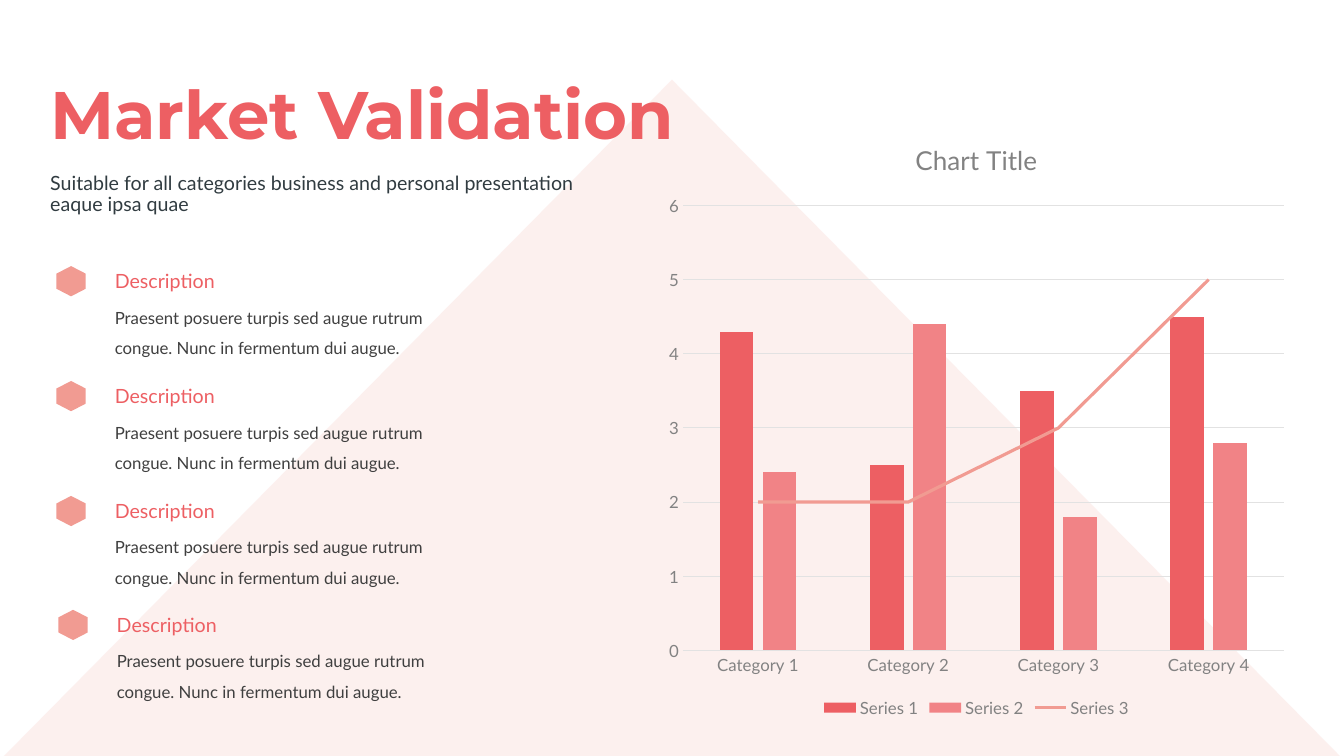
from lxml import etree
from pptx import Presentation
from pptx.chart.data import CategoryChartData
from pptx.dml.color import RGBColor
from pptx.enum.chart import XL_CHART_TYPE, XL_LEGEND_POSITION, XL_MARKER_STYLE, XL_TICK_MARK
from pptx.enum.shapes import MSO_SHAPE
from pptx.enum.text import MSO_ANCHOR
from pptx.oxml import parse_xml
from pptx.oxml.ns import nsdecls, qn
from pptx.util import Inches, Pt

COLORS = {
    "coral": "ED5F63",
    "rose": "F18386",
    "salmon": "F19B92",
    "slate": "313C41",
    "charcoal": "3F3F3F",
    "gray": "828282",
    "grid": "E2E2E2",
}
DESCRIPTION = "Praesent posuere turpis sed augue rutrum congue. Nunc in fermentum dui augue."


def color(name):
    return RGBColor.from_string(COLORS[name])


def format_font(font, size, color_name, name="Lato", bold=False):
    font.size = Pt(size)
    font.name = name
    font.bold = bold
    font.color.rgb = color(color_name)


def write_text(text_frame, text, line_spacing=1.0, anchor=MSO_ANCHOR.TOP, **font_format):
    text_frame.word_wrap = True
    text_frame.vertical_anchor = anchor
    paragraph = text_frame.paragraphs[0]
    paragraph.line_spacing = line_spacing
    run = paragraph.add_run()
    run.text = text
    format_font(run.font, **font_format)


class SlideBuilder:
    def __init__(self, slide):
        self.slide = slide

    def fill(self, shape, color_name, opacity=None):
        shape.shadow.inherit = False
        shape.fill.solid()
        shape.fill.fore_color.rgb = color(color_name)
        shape.line.fill.background()
        if opacity is not None:
            tint = shape._element.spPr.find(qn("a:solidFill")).find(qn("a:srgbClr"))
            etree.SubElement(tint, qn("a:alpha"), val=str(opacity * 1000))

    def triangle(self, left, top, width, height, color_name, opacity):
        shape = self.slide.shapes.add_shape(
            MSO_SHAPE.ISOSCELES_TRIANGLE,
            Inches(left), Inches(top), Inches(width), Inches(height))
        self.fill(shape, color_name, opacity)

    def hexagon(self, left, top, width, height, color_name):
        corners = [(1, 0.75), (0.5, 1), (0, 0.75), (0, 0.25), (0.5, 0), (1, 0.25)]
        points = [(Inches(left + x * width), Inches(top + y * height)) for x, y in corners]
        outline = self.slide.shapes.build_freeform(*points[0])
        outline.add_line_segments(points[1:], close=True)
        self.fill(outline.convert_to_shape(), color_name)

    def text(self, left, top, width, height, text, **text_format):
        box = self.slide.shapes.add_textbox(
            Inches(left), Inches(top), Inches(width), Inches(height))
        write_text(box.text_frame, text, **text_format)

    def description(self, left, top):
        self.hexagon(left - 0.48, top + 0.02, 0.29, 0.3, "salmon")
        self.text(left, top, 1.2, 0.34, "Description", size=14, color_name="coral")
        self.text(left, top + 0.28, 3.62, 0.67, DESCRIPTION,
                  line_spacing=1.5, size=12, color_name="charcoal")

    def combined_chart(self, left, top, width, height, title, categories, series_values):
        data = CategoryChartData()
        data.categories = categories
        for name, values in series_values.items():
            data.add_series(name, values)
        chart = self.slide.shapes.add_chart(
            XL_CHART_TYPE.COLUMN_CLUSTERED,
            Inches(left), Inches(top), Inches(width), Inches(height), data).chart
        format_font(chart.font, 10, "charcoal")

        # Title and legend
        chart.has_title = True
        write_text(chart.chart_title.text_frame, title, size=18.6, color_name="gray")
        chart.has_legend = True
        chart.legend.position = XL_LEGEND_POSITION.BOTTOM
        chart.legend.include_in_layout = False
        format_font(chart.legend.font, 12, "gray")

        # Axes
        for axis in (chart.category_axis, chart.value_axis):
            axis.major_tick_mark = axis.minor_tick_mark = XL_TICK_MARK.NONE
            format_font(axis.tick_labels.font, 12, "gray")
        value_axis = chart.value_axis
        value_axis.minimum_scale, value_axis.maximum_scale = 0, 6
        value_axis.major_unit = 1
        value_axis.format.line.fill.background()
        for rule in (chart.category_axis.format.line, value_axis.major_gridlines.format.line):
            rule.color.rgb = color("grid")
            rule.width = Pt(0.75)

        # Columns
        columns = chart.plots[0]
        columns.gap_width = 219
        columns.overlap = -27
        columns.vary_by_categories = False
        for series, color_name in zip(list(columns.series)[:2], ("coral", "rose")):
            series.format.fill.solid()
            series.format.fill.fore_color.rgb = color(color_name)

        # The last series becomes a line on the same axes
        bar_chart = columns._element
        line_chart = parse_xml(
            f'<c:lineChart {nsdecls("c")}><c:grouping val="standard"/>'
            '<c:varyColors val="0"/><c:marker val="1"/></c:lineChart>')
        line_series = bar_chart.findall(qn("c:ser"))[-1]
        for bar_setting in line_series.findall(qn("c:invertIfNegative")):
            line_series.remove(bar_setting)
        line_chart.insert(2, line_series)
        for axis_id in bar_chart.findall(qn("c:axId")):
            etree.SubElement(line_chart, qn("c:axId"), val=axis_id.get("val"))
        bar_chart.addnext(line_chart)
        series = chart.plots[1].series[0]
        series.smooth = False
        series.marker.style = XL_MARKER_STYLE.NONE
        series.format.line.color.rgb = color("salmon")
        series.format.line.width = Pt(2.25)


def main():
    presentation = Presentation()
    presentation.slide_width = Inches(13.33)
    presentation.slide_height = Inches(7.5)
    builder = SlideBuilder(presentation.slides.add_slide(presentation.slide_layouts[6]))

    # Background triangle and heading
    builder.triangle(0, 0.79, 13.33, 6.75, "salmon", opacity=15)
    builder.text(0.4, 0.71, 6.91, 0.91, "Market Validation", line_spacing=0.9,
                 anchor=MSO_ANCHOR.MIDDLE, size=48, color_name="coral",
                 name="Montserrat", bold=True)

    # Chart
    builder.combined_chart(
        6.51, 1.18, 6.35, 5.98, "Chart Title",
        [f"Category {number}" for number in range(1, 5)],
        {"Series 1": (4.3, 2.5, 3.5, 4.5),
         "Series 2": (2.4, 4.4, 1.8, 2.8),
         "Series 3": (2, 2, 3, 5)})

    # Subtitle and descriptions
    builder.text(0.4, 1.67, 5.83, 0.61,
                 "Suitable for all categories business and personal presentation eaque ipsa quae",
                 line_spacing=0.9, size=14, color_name="slate")
    for left, top in ((1.04, 2.62), (1.04, 3.76), (1.04, 4.9), (1.06, 6.03)):
        builder.description(left, top)

    presentation.save("out.pptx")


if __name__ == "__main__":
    main()
